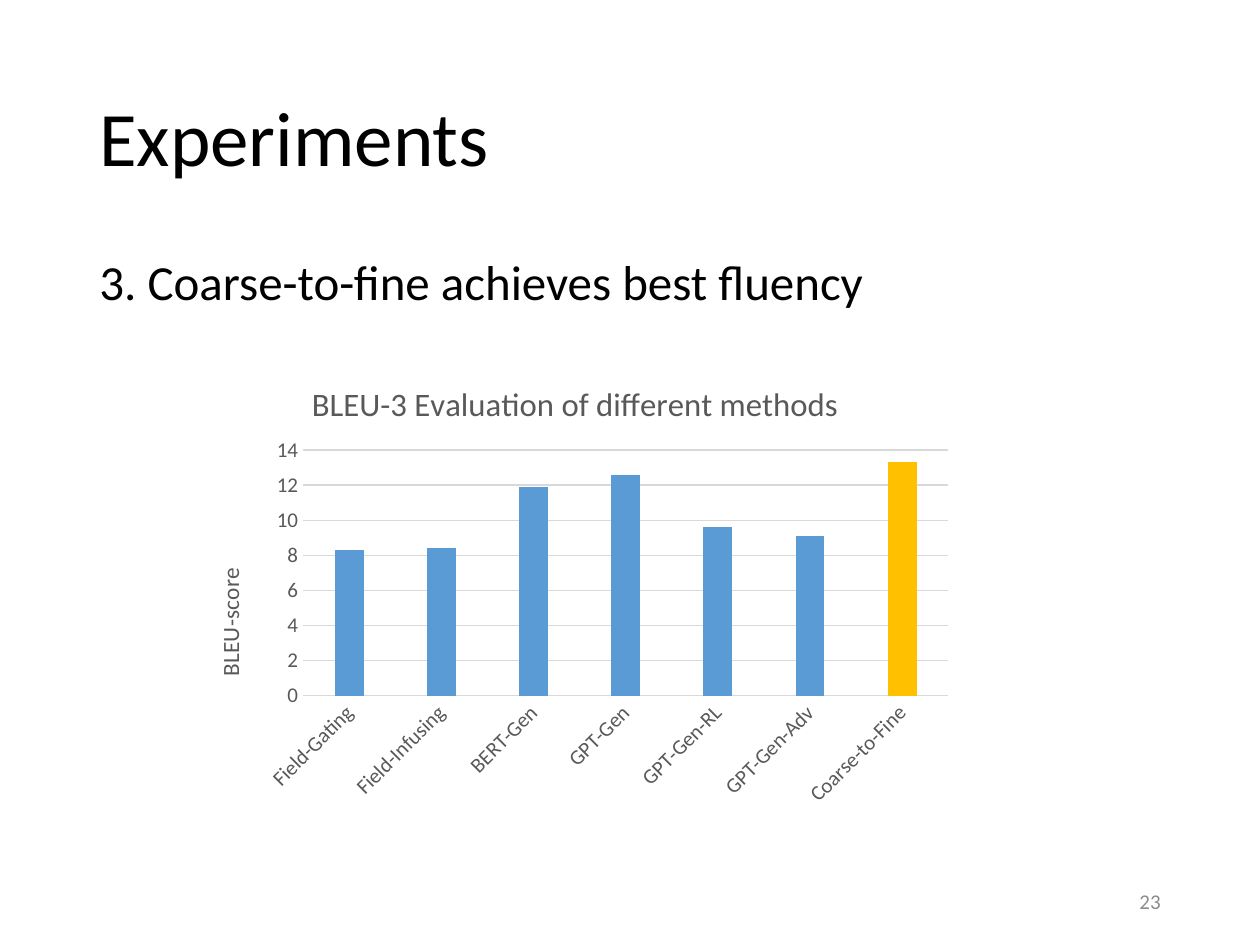
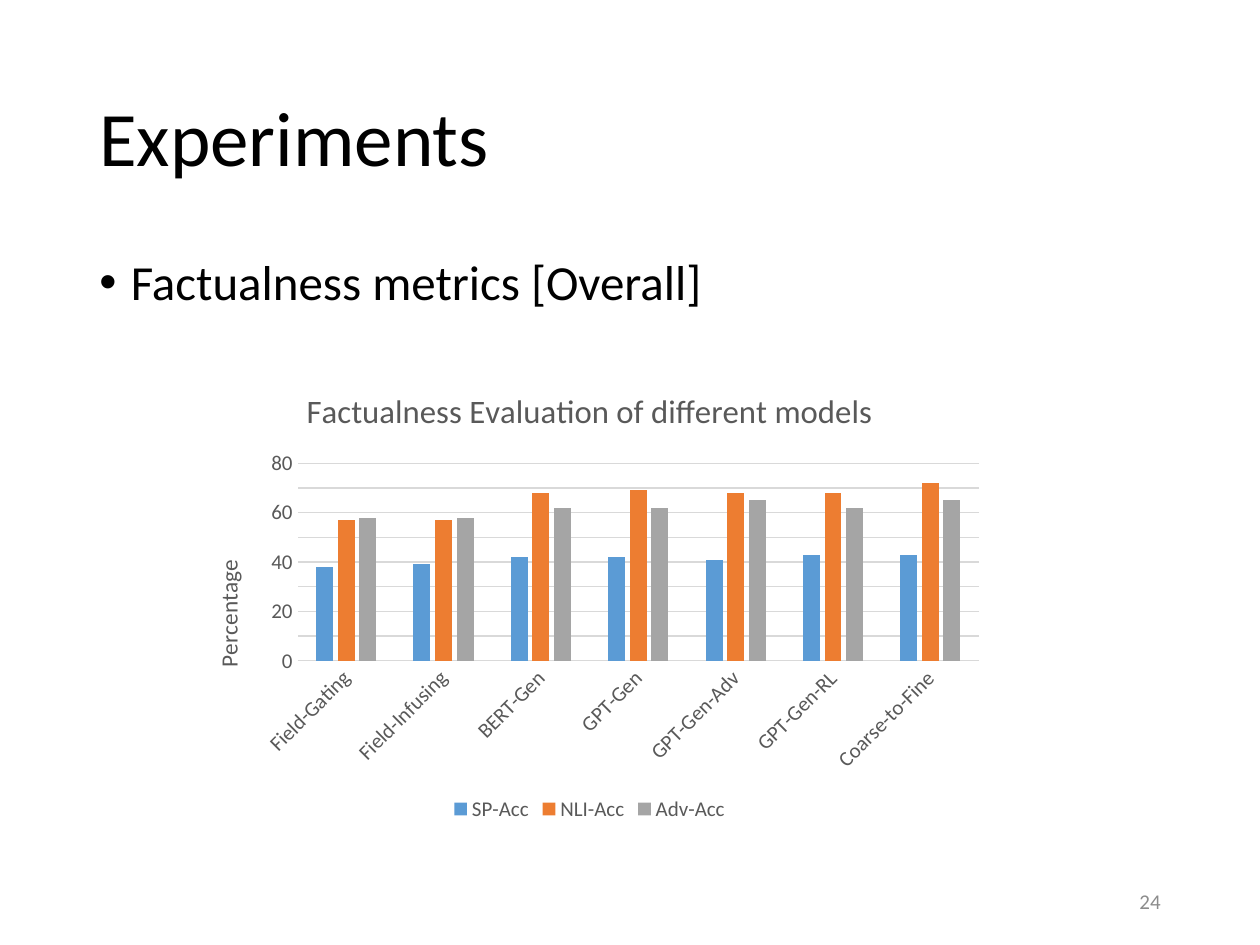
from lxml.etree import SubElement
from pptx import Presentation
from pptx.chart.data import CategoryChartData
from pptx.dml.color import RGBColor
from pptx.enum.chart import XL_CHART_TYPE as ChartType, XL_LEGEND_POSITION as LegendPosition
from pptx.enum.chart import XL_TICK_MARK as TickMark
from pptx.enum.text import MSO_ANCHOR as Anchor, PP_ALIGN as Align
from pptx.oxml.ns import qn
from pptx.util import Inches, Pt

FONT = "Calibri"
BLACK, GRAY, PALE, NUMBER_GRAY = "000000", "595959", "D9D9D9", "8C8C8C"
BLUE, ORANGE, SILVER, GOLD = "5B9BD5", "ED7D31", "A5A5A5", "FFC000"


def rgb(value):
    return RGBColor.from_string(value)


def set_font(font, size, color):
    font.name = FONT
    font.size = Pt(size)
    font.bold = False
    font.color.rgb = rgb(color)


def set_layout(parent, **values):
    layout = parent.find(qn("c:layout"))
    if layout is None:
        layout = parent.makeelement(qn("c:layout"))
        parent.insert(0, layout)
    manual = SubElement(layout, qn("c:manualLayout"))
    for name, value in values.items():
        SubElement(manual, qn(f"c:{name}")).set("val", str(value))


def rotate(element, degrees):
    body = next(element.iter(qn("a:bodyPr")))
    body.set("rot", str(degrees * 60000))
    body.set("vert", "horz")


class Deck:
    def __init__(self):
        self.presentation = Presentation()
        self.presentation.slide_width = Inches(10)
        self.presentation.slide_height = Inches(7.5)
        self.slide = None

    def add_slide(self, title, number):
        self.slide = self.presentation.slides.add_slide(self.presentation.slide_layouts[6])
        heading = self.text(title, (0.69, 0.4, 8.62, 1.45), 44, anchor=Anchor.MIDDLE)
        heading.line_spacing = 0.9
        footer = self.text(str(number), (7.06, 6.95, 2.25, 0.4), 12, NUMBER_GRAY, Anchor.MIDDLE)
        footer.alignment = Align.RIGHT

    def text(self, text, box, size, color=BLACK, anchor=Anchor.TOP):
        frame = self.slide.shapes.add_textbox(*map(Inches, box)).text_frame
        frame.word_wrap = True
        frame.vertical_anchor = anchor
        paragraph = frame.paragraphs[0]
        paragraph.text = text
        set_font(paragraph.font, size, color)
        return paragraph

    def body(self, text, bullet=False):
        paragraph = self.text(text, (0.69, 2, 8.62, 4.76), 28)
        paragraph.line_spacing = 0.9
        paragraph.space_before = Pt(10)
        if bullet:
            properties = paragraph._p.get_or_add_pPr()
            properties.set("marL", str(Inches(0.25)))
            properties.set("indent", str(-Inches(0.25)))
            bullet_font = properties.makeelement(qn("a:buFont"), {"typeface": "Arial"})
            bullet_char = properties.makeelement(qn("a:buChar"), {"char": "•"})
            position = [child.tag for child in properties].index(qn("a:defRPr"))
            properties.insert(position, bullet_font)
            properties.insert(position + 1, bullet_char)

    def column_chart(self, title, axis_title, box, categories, series, maximum, unit, plot_area, title_spot):
        data = CategoryChartData()
        data.categories = categories
        for name, values, _ in series:
            data.add_series(name, values)
        chart = self.slide.shapes.add_chart(
            ChartType.COLUMN_CLUSTERED, *map(Inches, box), data).chart
        set_font(chart.font, 10, BLACK)
        chart.has_title = True
        self.chart_title(chart.chart_title, title, 18.7)
        plot = chart.plots[0]
        plot.gap_width, plot.overlap = 219, -27
        plot.vary_by_categories = False
        for item, (_, _, color) in zip(plot.series, series):
            self.fill(item, color)
        self.axes(chart, axis_title, maximum, unit, title_spot)
        x, y, width, height = plot_area
        set_layout(chart._chartSpace.chart.plotArea, layoutTarget="inner",
                   xMode="edge", yMode="edge", x=x, y=y, w=width, h=height)
        chart.has_legend = len(series) > 1
        if chart.has_legend:
            chart.legend.position = LegendPosition.BOTTOM
            chart.legend.include_in_layout = False
            set_font(chart.legend.font, 12, GRAY)
        return chart

    def axes(self, chart, axis_title, maximum, unit, title_spot):
        category, value = chart.category_axis, chart.value_axis
        for axis in (category, value):
            axis.major_tick_mark = axis.minor_tick_mark = TickMark.NONE
            set_font(axis.tick_labels.font, 12, GRAY)
        rotate(category._element.find(qn("c:txPr")), -45)
        value.format.line.fill.background()
        value.minimum_scale, value.maximum_scale, value.major_unit = 0, maximum, unit
        for line in (category.format.line, value.major_gridlines.format.line):
            line.color.rgb = rgb(PALE)
            line.width = Pt(0.75)
        self.chart_title(value.axis_title, axis_title, 13.3)
        element = value._element.find(qn("c:title"))
        rotate(element, -90)
        x, y = title_spot
        set_layout(element, xMode="edge", yMode="edge", x=x, y=y)

    def chart_title(self, title, text, size):
        paragraph = title.text_frame.paragraphs[0]
        paragraph.text = text
        set_font(paragraph.font, size, GRAY)

    def fill(self, item, color):
        item.format.fill.solid()
        item.format.fill.fore_color.rgb = rgb(color)


def main():
    deck = Deck()
    basic_models = ["Field-Gating", "Field-Infusing", "BERT-Gen", "GPT-Gen"]

    deck.add_slide("Experiments", 23)
    deck.body("3. Coarse-to-fine achieves best fluency")
    fluency = deck.column_chart(
        "BLEU-3 Evaluation of different methods", "BLEU-score", (1.48, 2.85, 6.17, 3.61),
        basic_models + ["GPT-Gen-RL", "GPT-Gen-Adv", "Coarse-to-Fine"],
        [("Series 1", (8.3, 8.4, 11.9, 12.6, 9.6, 9.1, 13.3), BLUE)],
        14, 2, (0.15, 0.2, 0.83, 0.54), (0.03, 0.45))
    deck.fill(fluency.plots[0].series[0].points[6], GOLD)

    deck.add_slide("Experiments", 24)
    deck.body("Factualness metrics [Overall]", bullet=True)
    deck.column_chart(
        "Factualness Evaluation of different models", "Percentage", (1.46, 2.91, 6.44, 3.65),
        basic_models + ["GPT-Gen-Adv", "GPT-Gen-RL", "Coarse-to-Fine"],
        [("SP-Acc", (38, 39, 42, 42, 41, 43, 43), BLUE),
         ("NLI-Acc", (57, 57, 68, 69, 68, 68, 72), ORANGE),
         ("Adv-Acc", (58, 58, 62, 62, 65, 62, 65), SILVER)],
        80, 10, (0.14, 0.21, 0.84, 0.43), (0.03, 0.41))

    deck.presentation.save("out.pptx")


if __name__ == "__main__":
    main()
